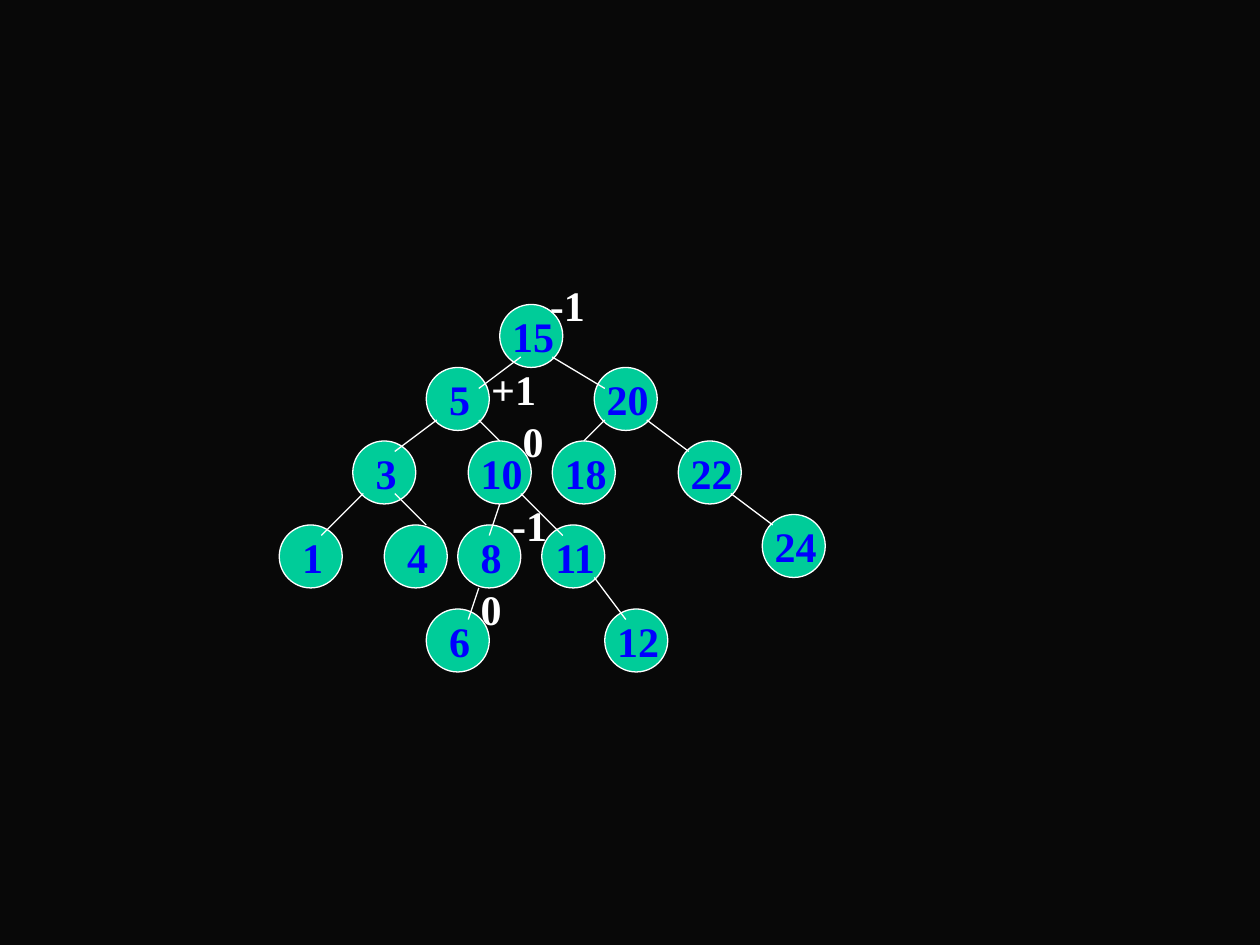
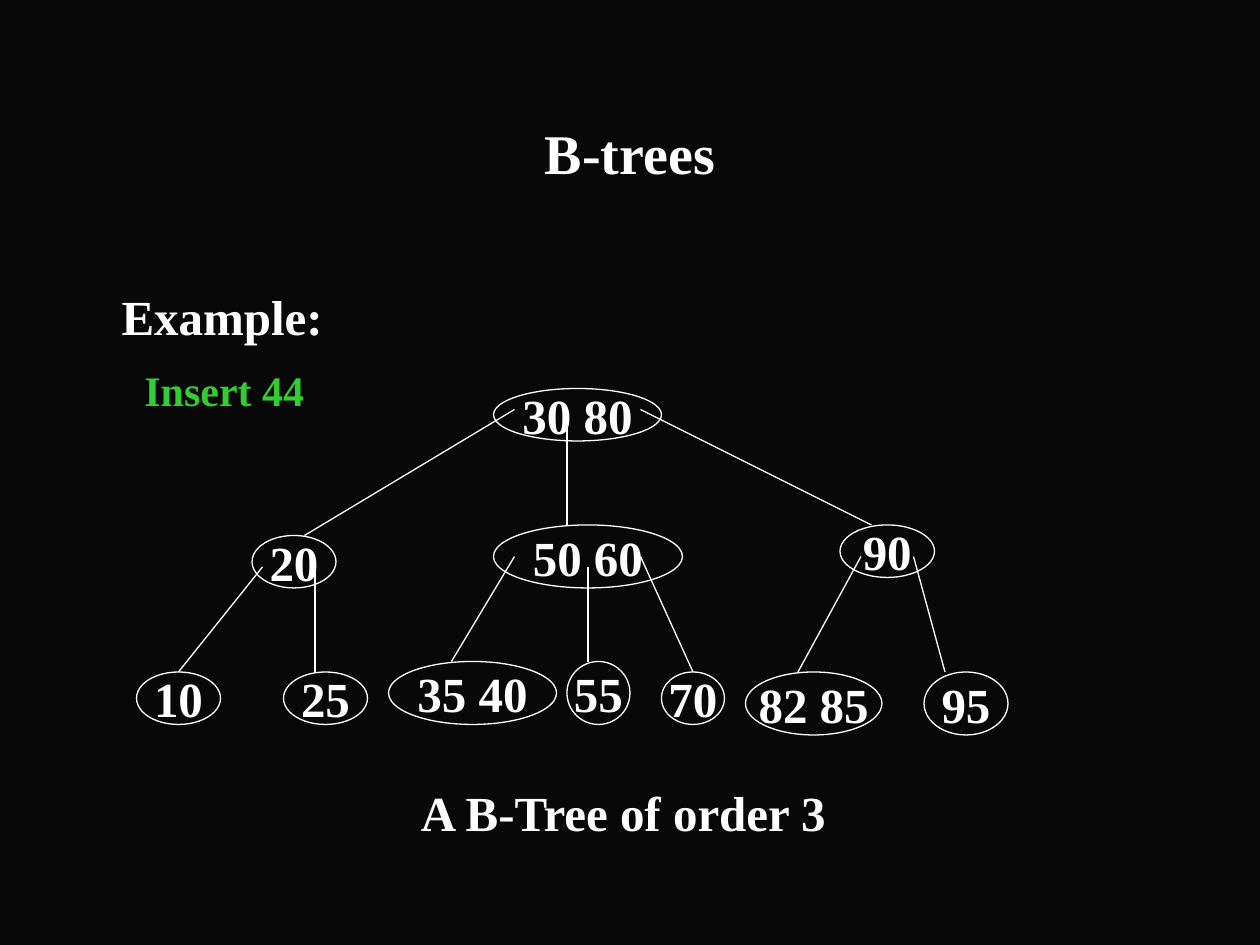
from pptx import Presentation
from pptx.dml.color import RGBColor
from pptx.enum.shapes import MSO_CONNECTOR, MSO_SHAPE
from pptx.enum.text import MSO_ANCHOR, PP_ALIGN
from pptx.util import Cm, Pt
from lxml.etree import SubElement
from pptx.oxml.ns import qn

GRID = 2.54 / 12  # one grid step in cm; all places count in steps
FONT = "Times New Roman"
BACK, WHITE, BLUE, TEAL, GREEN = "080808", "FFFFFF", "0000FF", "00CC99", "33CC33"
rgb = RGBColor.from_string


def draw(slide, spot, text, size, hue=WHITE, kind=None, fill=None, wrap=False):
    """Add bold text in a preset shape, or in a plain text box if kind is None."""
    place = [Cm(n * GRID) for n in spot]
    if kind is None:
        shape = slide.shapes.add_textbox(*place)
    else:
        shape = slide.shapes.add_shape(kind, *place)
        shape.shadow.inherit = False
        shape.line.color.rgb = rgb(WHITE)
        shape.line.width = Pt(0.75)
        if fill:
            shape.fill.solid()
            shape.fill.fore_color.rgb = rgb(fill)
        else:
            shape.fill.background()
    frame = shape.text_frame
    frame.word_wrap = wrap
    frame.text = text
    if kind is not None:
        frame.vertical_anchor = MSO_ANCHOR.MIDDLE
    for para in frame.paragraphs:
        if kind is not None:
            para.alignment = PP_ALIGN.CENTER
        for run in para.runs:
            font = run.font
            font.name, font.size, font.bold = FONT, Pt(size), True
            font.color.rgb = rgb(hue)
    return frame


def link(slide, *ends):
    """Add a thin white line between two grid points."""
    line = slide.shapes.add_connector(
        MSO_CONNECTOR.STRAIGHT, *[Cm(n * GRID) for n in ends])
    line.line.color.rgb = rgb(WHITE)
    line.line.width = Pt(0.75)
    SubElement(line._element.spPr, qn("a:effectLst"))


deck = Presentation()
deck.slide_width, deck.slide_height = Cm(25.4), Cm(19.05)
avl, btree = [deck.slides.add_slide(deck.slide_layouts[6]) for _ in range(2)]
for slide in (avl, btree):
    slide.background.fill.solid()
    slide.background.fill.fore_color.rgb = rgb(BACK)

# Slide 1: balanced binary tree with balance factors
SHIFT = 0.6
nodes = [
    ("15", 47, 29),
    ("5", 40, 35), ("20", 56, 35),
    ("3", 33, 42), ("10", 44, 42), ("18", 52, 42), ("22", 64, 42),
    ("1", 26, 50), ("4", 36, 50), ("8", 43, 50), ("11", 51, 50), ("24", 72, 49),
    ("6", 40, 58), ("12", 57, 58),
]
edges = [
    (52, 34, 57, 37), (61, 40, 65, 43), (69, 47, 73, 50),
    (49, 34, 45, 37), (41, 40, 37, 43), (34, 47, 30, 51),
    (45, 40, 47, 42), (57, 40, 55, 42), (37, 47, 40, 50),
    (47, 48, 46, 51), (49, 47, 53, 51), (56, 55, 59, 59),
    (45, 56, 44, 59),
]
factors = [
    ("+1", 45, 34, 7.2), ("0", 44, 55, 4.5), ("-1", 47, 47, 6),
    ("0", 48, 39, 4.5), ("-1", 50.6, 26, 6),
]
for key, x, y in nodes:
    disc = draw(avl, (x + SHIFT, y, 6, 6), key, 24, BLUE,
                MSO_SHAPE.FLOWCHART_CONNECTOR, TEAL)
    disc.margin_left = Cm(0.33)
for x1, y1, x2, y2 in edges:
    link(avl, x1 + SHIFT, y1, x2 + SHIFT, y2)
for text, x, y, wide in factors:
    draw(avl, (x + SHIFT, y, wide, 6), text, 24)

# Slide 2: B-tree of order 3
title = draw(btree, (9, 9, 102, 11), "B-trees", 32, wrap=True)
title.vertical_anchor = MSO_ANCHOR.MIDDLE
title.paragraphs[0].alignment = PP_ALIGN.CENTER

task = draw(btree, (10.4, 26.7, 36, 11), "Example:\nInsert 44", 28, wrap=True)
step = task.paragraphs[1]
step.space_before = Pt(11)
step._p.get_or_add_pPr().set("marL", str(Cm(0.46)))
step.runs[0].font.size = Pt(24)
step.runs[0].font.color.rgb = rgb(GREEN)

pages = [
    ("30 80", 47, 37, 16, 5),
    ("20", 24, 51, 8, 5), ("50 60", 47, 50, 18, 6), ("90", 80, 50, 9, 5),
    ("10", 13, 64, 8, 5), ("25", 27, 64, 8, 5), ("35 40", 37, 63, 16, 6),
    ("55", 54, 63, 6, 6), ("70", 63, 64, 6, 5), ("82 85", 71, 64, 13, 6),
    ("95", 88, 64, 8, 6),
]
paths = [
    (49, 39, 29, 51), (54, 40, 54, 50), (61, 39, 83, 50),
    (25, 54, 17, 64), (30, 54, 30, 64),
    (49, 53, 43, 63), (56, 54, 56, 63), (61, 53, 66, 64),
    (82, 53, 76, 64), (87, 53, 90, 64),
]
for keys, *spot in pages:
    page = draw(btree, spot, keys, 28, kind=MSO_SHAPE.OVAL)
    page.paragraphs[0].space_before = Pt(7)
for ends in paths:
    link(btree, *ends)
note = draw(btree, (38.9, 73.9, 41.8, 6.8), "A B-Tree of order 3", 28)
note.paragraphs[0].space_before = Pt(7)

deck.save("out.pptx")
